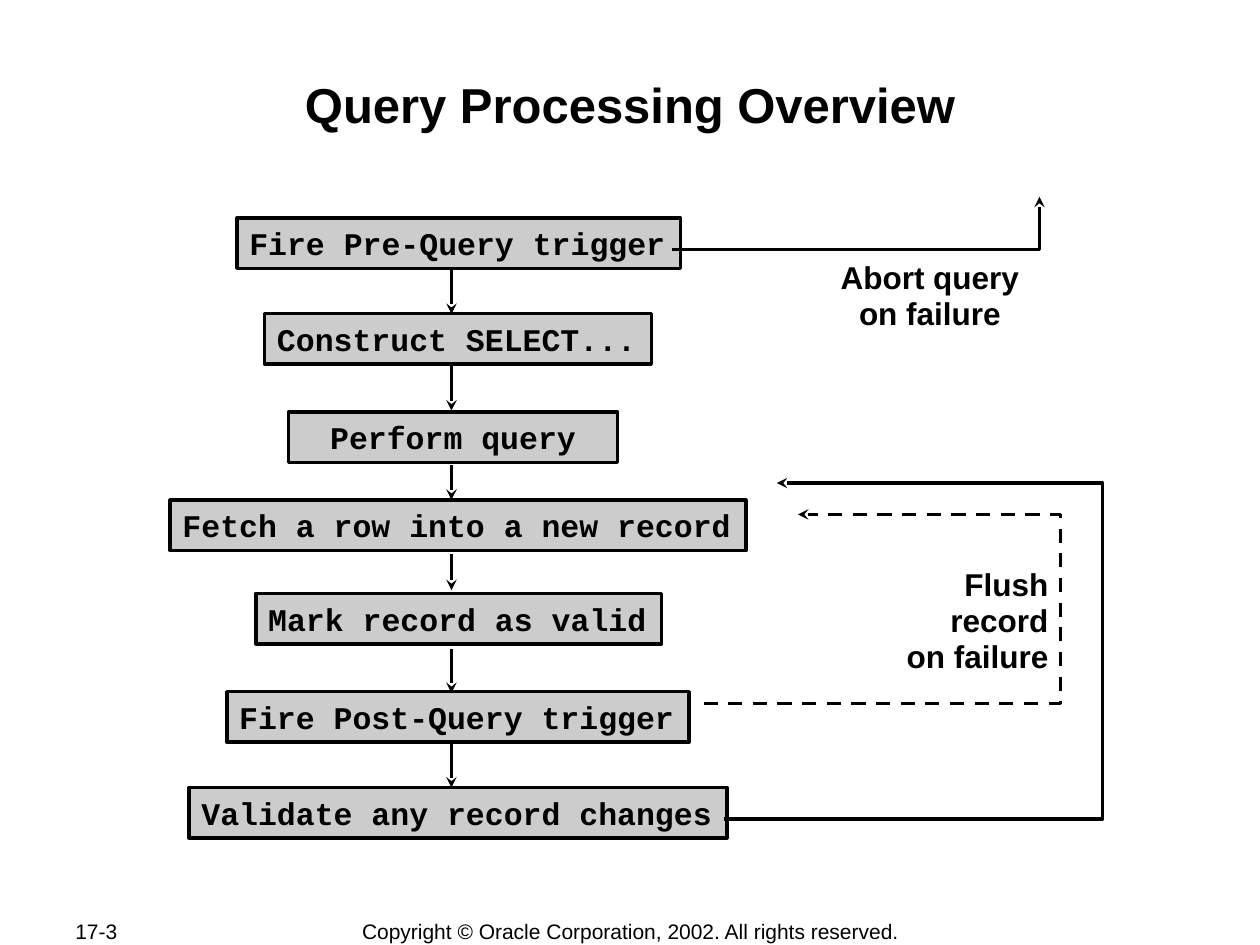
"""Build the Query Processing Overview flowchart slide."""
import lxml.etree
import pptx
import pptx.dml.color
import pptx.enum.dml
import pptx.enum.shapes
import pptx.enum.text
import pptx.oxml.ns
import pptx.util

RGB = pptx.dml.color.RGBColor
PT = pptx.util.Pt
QN = pptx.oxml.ns.qn
ALIGN = pptx.enum.text.PP_ALIGN
ANCHOR = pptx.enum.text.MSO_ANCHOR
THEME = {
    "ink": RGB(0, 0, 0),
    "box": RGB(0xCC, 0xCC, 0xCC),
    "line": PT(2),
    "title": {"name": "Arial", "size": PT(28), "bold": True},
    "step": {"name": "Courier New", "size": PT(18), "bold": True},
    "label": {"name": "Arial", "size": PT(18), "bold": True},
    "footer": {"name": "Arial", "size": PT(12), "bold": False},
}

prs = pptx.Presentation()
prs.slide_width = pptx.util.Inches(10)
prs.slide_height = pptx.util.Inches(7.5)
CELL = prs.slide_width / 120


def grid(*cells):
    return [round(c * CELL) for c in cells]


def write(sp, text, style, align, anchor=ANCHOR.TOP, wrap=True, spacing=None, inset=(1.2, 0.6)):
    tf = sp.text_frame
    x, y = grid(*inset)
    frame = {
        "word_wrap": wrap, "vertical_anchor": anchor,
        "auto_size": pptx.enum.text.MSO_AUTO_SIZE.NONE,
        "margin_left": x, "margin_right": x, "margin_top": y, "margin_bottom": y,
    }
    for name, value in frame.items():
        setattr(tf, name, value)
    tf.text = text
    for p in tf.paragraphs:
        p.alignment = align
        p.line_spacing = spacing
        for name, value in THEME[style].items():
            setattr(p.font, name, value)
        p.font.color.rgb = THEME["ink"]


def draw_line(sp, arrow=True, dashed=False):
    sp.line.color.rgb = THEME["ink"]
    sp.line.width = THEME["line"]
    if dashed:
        sp.line.dash_style = pptx.enum.dml.MSO_LINE.DASH
    if arrow:
        ln = sp.line._get_or_add_ln()
        lxml.etree.SubElement(ln, QN("a:tailEnd"), type="stealth")


s = prs.slides.add_slide(prs.slide_layouts[5])
title = s.shapes.title
title.left, title.top, title.width, title.height = grid(12, 7, 96, 11.5)
write(title, "Query Processing Overview", "title", ALIGN.CENTER, inset=(0.12, 0.12))

steps = [
    ("Fire Pre-Query trigger", 22.56, 20.76, 42.24, ALIGN.LEFT),
    ("Construct SELECT...", 25.2, 29.88, 36.84, ALIGN.LEFT),
    ("Perform query", 27.48, 39.24, 31.32, ALIGN.CENTER),
    ("Fetch a row into a new record", 16.2, 47.64, 54.84, ALIGN.LEFT),
    ("Mark record as valid", 24.36, 56.52, 38.64, ALIGN.LEFT),
    ("Fire Post-Query trigger", 21.6, 65.88, 44.04, ALIGN.LEFT),
    ("Validate any record changes", 18, 75, 51.24, ALIGN.LEFT),
]
for text, left, top, width, align in steps:
    sp = s.shapes.add_shape(pptx.enum.shapes.MSO_SHAPE.RECTANGLE, *grid(left, top, width, 4.8))
    sp.shadow.inherit = False
    sp.fill.solid()
    sp.fill.fore_color.rgb = THEME["box"]
    draw_line(sp, arrow=False)
    write(sp, text, "step", align)

arrows = [(25.7, 29.9), (34.9, 39.1), (44.3, 47.6), (52.8, 56.2), (61.8, 66), (70.8, 75)]
for start, end in arrows:
    sp = s.shapes.add_connector(pptx.enum.shapes.MSO_CONNECTOR.STRAIGHT, *grid(43, start, 43, end))
    lxml.etree.SubElement(sp._element.spPr, QN("a:effectLst"))
    draw_line(sp)

routes = [
    ([(64, 23.75), (99, 23.75), (99, 18.75)], False),
    ([(67, 67), (101, 67), (101, 49), (76, 49)], True),
    ([(69, 78), (105, 78), (105, 46), (74, 46)], False),
]
for points, dashed in routes:
    first, *rest = [grid(*point) for point in points]
    builder = s.shapes.build_freeform(*first)
    builder.add_line_segments(rest, close=False)
    sp = builder.convert_to_shape()
    sp.shadow.inherit = False
    sp.fill.background()
    draw_line(sp, dashed=dashed)

notes = [
    ("Abort query\non failure", (78.84, 24.24, 19.44, 8.04), "label", ALIGN.CENTER, ANCHOR.TOP, False, 0.95),
    ("Flush\nrecord\non failure", (85.08, 53.52, 15.96, 11.52), "label", ALIGN.RIGHT, ANCHOR.TOP, False, 0.95),
    ("17-3", (6, 87.4, 12.72, 2.5), "footer", ALIGN.LEFT, ANCHOR.MIDDLE, True, None),
    ("Copyright © Oracle Corporation, 2002. All rights reserved.", (33.12, 87.4, 53.88, 2.5),
     "footer", ALIGN.CENTER, ANCHOR.MIDDLE, False, None),
]
for text, place, *layout in notes:
    write(s.shapes.add_textbox(*grid(*place)), text, *layout)

prs.save("out.pptx")
